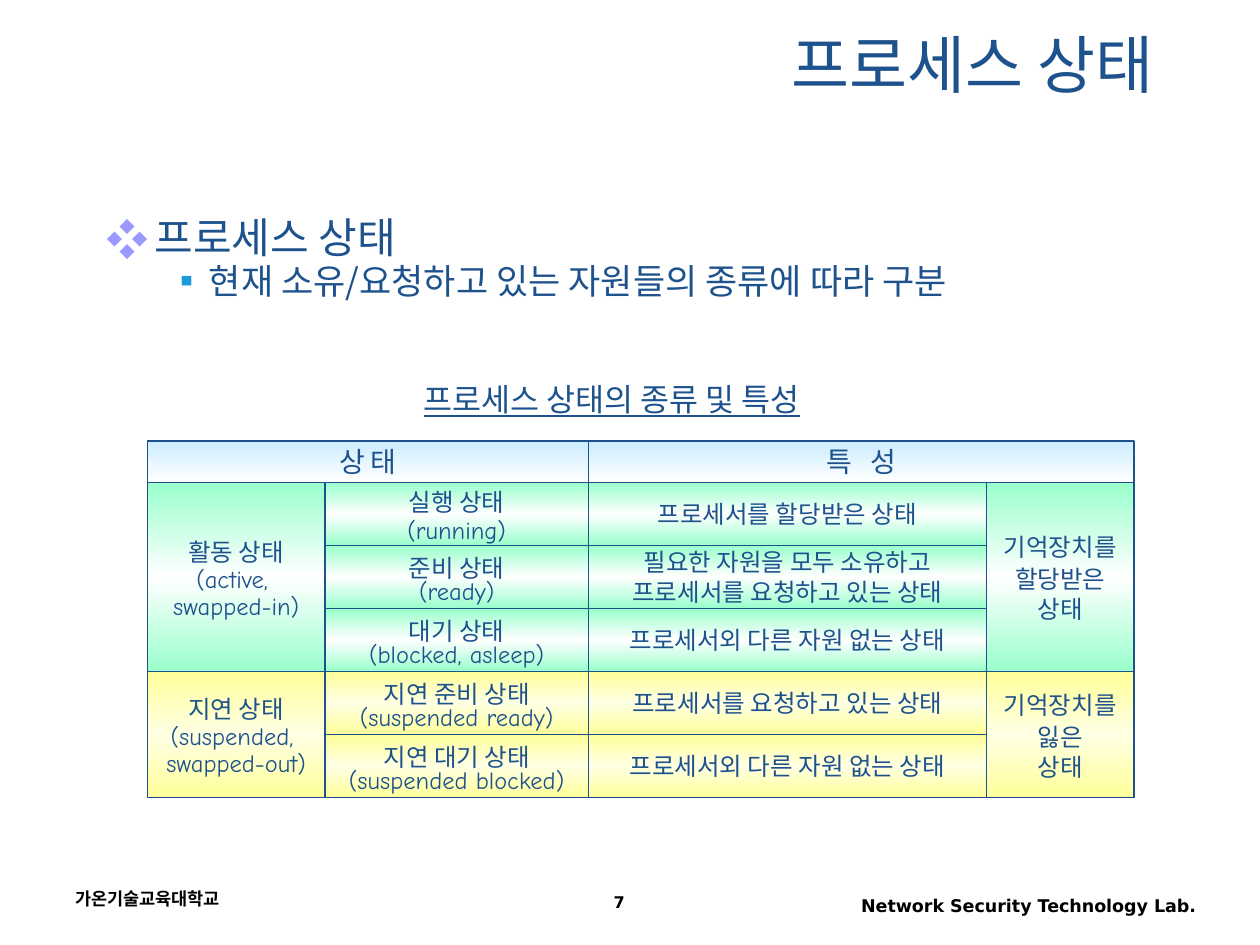
from dataclasses import dataclass

from lxml.etree import SubElement
from pptx import Presentation
from pptx.dml.color import RGBColor
from pptx.enum.shapes import MSO_SHAPE
from pptx.enum.text import MSO_ANCHOR, PP_ALIGN
from pptx.oxml.ns import qn
from pptx.util import Inches, Pt


@dataclass(frozen=True)
class Theme:
    navy: str = "1D528D"
    black: str = "000000"
    main_bullet: str = "9999FF"
    sub_bullet: str = "1B9AD9"
    header_fill: tuple = ("CCECFF", "FFFFFF")
    active_fill: tuple = ("99FFCC", "FFFFFF", "99FFCC")
    suspended_fill: tuple = ("FFFF99", "FFFFE4", "FFFF99")
    korean_font: str = "Noto Sans CJK KR"
    cell_font: str = "Comic Neue"
    caption_font: str = "Arial Narrow"
    footer_font: str = "DejaVu Sans"
    title_size: float = 36
    main_size: float = 24
    sub_size: float = 20
    caption_size: float = 18
    header_size: float = 16
    cell_size: float = 14
    footer_size: float = 10
    number_size: float = 9.2
    border: float = 0.75


class StateSlide:
    def __init__(self, slide, theme):
        self.slide = slide
        self.theme = theme

    def style(self, paragraph, size, font, color=None, align=PP_ALIGN.LEFT,
              spacing=1.0, before=0, bold=False):
        paragraph.alignment = align
        paragraph.line_spacing = spacing
        paragraph.space_before = Pt(before)
        paragraph.font.size = Pt(size)
        paragraph.font.name = font
        paragraph.font.bold = bold
        paragraph.font.color.rgb = RGBColor.from_string(color or self.theme.navy)

    def text_box(self, left, top, width, height):
        box = self.slide.shapes.add_textbox(
            Inches(left), Inches(top), Inches(width), Inches(height))
        box.text_frame.word_wrap = True
        return box.text_frame

    def text(self, content, area, size, font, anchor=MSO_ANCHOR.TOP, **style):
        frame = self.text_box(*area)
        frame.vertical_anchor = anchor
        frame.text = content
        self.style(frame.paragraphs[0], size, font, **style)

    def bullet(self, paragraph, symbol, color, indent, hanging):
        properties = paragraph._p.get_or_add_pPr()
        properties.set("marL", str(Inches(indent)))
        properties.set("indent", str(-Inches(hanging)))
        bullet_color = SubElement(properties, qn("a:buClr"))
        SubElement(bullet_color, qn("a:srgbClr"), val=color)
        SubElement(properties, qn("a:buFont"), typeface=self.theme.korean_font)
        SubElement(properties, qn("a:buChar"), char=symbol)
        # The schema wants default run properties after the bullet
        properties.append(properties.find(qn("a:defRPr")))

    def outline(self, area, main, sub):
        theme = self.theme
        frame = self.text_box(*area)
        frame.text = f"{main}\n{sub}"
        first, second = frame.paragraphs
        self.style(first, theme.main_size, theme.korean_font, before=6)
        self.bullet(first, "❖", theme.main_bullet, 0.38, 0.38)
        self.style(second, theme.sub_size, theme.korean_font, spacing=0.7, before=5)
        second.level = 1
        self.bullet(second, "▪", theme.sub_bullet, 0.81, 0.31)

    def shape(self, kind, left, top, width, height):
        shape = self.slide.shapes.add_shape(
            kind, Inches(left), Inches(top), Inches(width), Inches(height))
        shape.shadow.inherit = False
        shape.text_frame.word_wrap = False
        shape.text_frame.vertical_anchor = MSO_ANCHOR.MIDDLE
        return shape

    def caption(self, content, area):
        theme = self.theme
        shape = self.shape(MSO_SHAPE.FLOWCHART_ALTERNATE_PROCESS, *area)
        shape.fill.background()
        shape.line.fill.background()
        shape.text_frame.text = content
        paragraph = shape.text_frame.paragraphs[0]
        self.style(paragraph, theme.caption_size, theme.caption_font, before=11.2)
        paragraph.font.underline = True

    def gradient(self, shape, colors):
        shape.fill.gradient()
        shape.fill.gradient_angle = 270
        stops = shape.fill._fill._gradFill.find(qn("a:gsLst"))
        for stop in list(stops):
            stops.remove(stop)
        for index, color in enumerate(colors):
            position = 100000 * index // (len(colors) - 1)
            stop = SubElement(stops, qn("a:gs"), pos=str(position))
            SubElement(stop, qn("a:srgbClr"), val=color)

    def cell(self, area, colors, lines, spacings, size):
        shape = self.shape(MSO_SHAPE.RECTANGLE, *area)
        self.gradient(shape, colors)
        shape.line.color.rgb = RGBColor.from_string(self.theme.navy)
        shape.line.width = Pt(self.theme.border)
        shape.text_frame.text = "\n".join(lines)
        before = 10 if size == self.theme.header_size else 8.8
        for paragraph, spacing in zip(shape.text_frame.paragraphs, spacings):
            self.style(paragraph, size, self.theme.cell_font,
                       align=PP_ALIGN.CENTER, spacing=spacing, before=before)


# Grid edges of the state table
COLUMNS = (1.17, 2.58, 4.67, 7.83, 9)
ROWS = (3.5, *(3.83 + 0.5 * row for row in range(6)))

# Line spacing patterns
SINGLE = (1,)
GROUP = (1, 0.3, 0.4)
RUNNING = (1, 0.3)
STATE = (1, 0.1)
TWO_LINES = (0.9, 0.4)
MEMORY = (1, 0.5, 0.5)

# Column, row, column span, row span, lines, line spacings
HEADERS = (
    (0, 0, 2, 1, ["상 태"], SINGLE),
    (2, 0, 2, 1, ["특   성"], SINGLE),
)
ACTIVE = (
    (0, 1, 1, 3, ["활동 상태", "(active, ", "swapped-in)"], GROUP),
    (1, 1, 1, 1, ["실행 상태", "(running)"], RUNNING),
    (1, 2, 1, 1, ["준비 상태", "(ready)"], STATE),
    (1, 3, 1, 1, ["대기 상태", "(blocked, asleep)"], STATE),
    (2, 1, 1, 1, ["프로세서를 할당받은 상태"], SINGLE),
    (2, 2, 1, 1, ["필요한 자원을 모두 소유하고", "프로세서를 요청하고 있는 상태"], TWO_LINES),
    (2, 3, 1, 1, ["프로세서외 다른 자원 없는 상태"], SINGLE),
    (3, 1, 1, 3, ["기억장치를", "할당받은", "상태"], MEMORY),
)
SUSPENDED = (
    (0, 4, 1, 2, ["지연 상태", "(suspended, ", "swapped-out)"], GROUP),
    (1, 4, 1, 1, ["지연 준비 상태", "(suspended ready)"], STATE),
    (1, 5, 1, 1, ["지연 대기 상태", "(suspended blocked)"], STATE),
    (2, 4, 1, 1, ["프로세서를 요청하고 있는 상태"], SINGLE),
    (2, 5, 1, 1, ["프로세서외 다른 자원 없는 상태"], SINGLE),
    (3, 4, 1, 2, ["기억장치를", "잃은", "상태"], MEMORY),
)


def main():
    theme = Theme()
    deck = Presentation()
    deck.slide_width, deck.slide_height = Inches(10), Inches(7.5)
    page = StateSlide(deck.slides.add_slide(deck.slide_layouts[6]), theme)

    # Footer
    footer = {"font": theme.footer_font, "color": theme.black, "bold": True}
    page.text("가온기술교육대학교", (0.5, 7, 2.33, 0.33), theme.footer_size, **footer)
    page.text("Network Security Technology Lab.", (6.42, 7.05, 3.17, 0.32),
              theme.footer_size, align=PP_ALIGN.RIGHT, **footer)
    page.text("7", (3.75, 7.05, 2.33, 0.28), theme.number_size,
              align=PP_ALIGN.CENTER, spacing=0.9, **footer)

    # Title and outline
    page.text("프로세스 상태", (0.75, 0.17, 8.5, 0.66), theme.title_size,
              theme.korean_font, anchor=MSO_ANCHOR.MIDDLE, align=PP_ALIGN.RIGHT)
    page.outline((0.75, 1.63, 8.17, 1), "프로세스 상태",
                 "현재 소유/요청하고 있는 자원들의 종류에 따라 구분")

    # State table
    page.caption("프로세스 상태의 종류 및 특성", (3.25, 3, 4.33, 0.33))
    sections = ((HEADERS, theme.header_fill, theme.header_size),
                (ACTIVE, theme.active_fill, theme.cell_size),
                (SUSPENDED, theme.suspended_fill, theme.cell_size))
    for cells, colors, size in sections:
        for column, row, across, down, lines, spacings in cells:
            left, top = COLUMNS[column], ROWS[row]
            area = (left, top, COLUMNS[column + across] - left, ROWS[row + down] - top)
            page.cell(area, colors, lines, spacings, size)

    deck.save("out.pptx")


if __name__ == "__main__":
    main()
